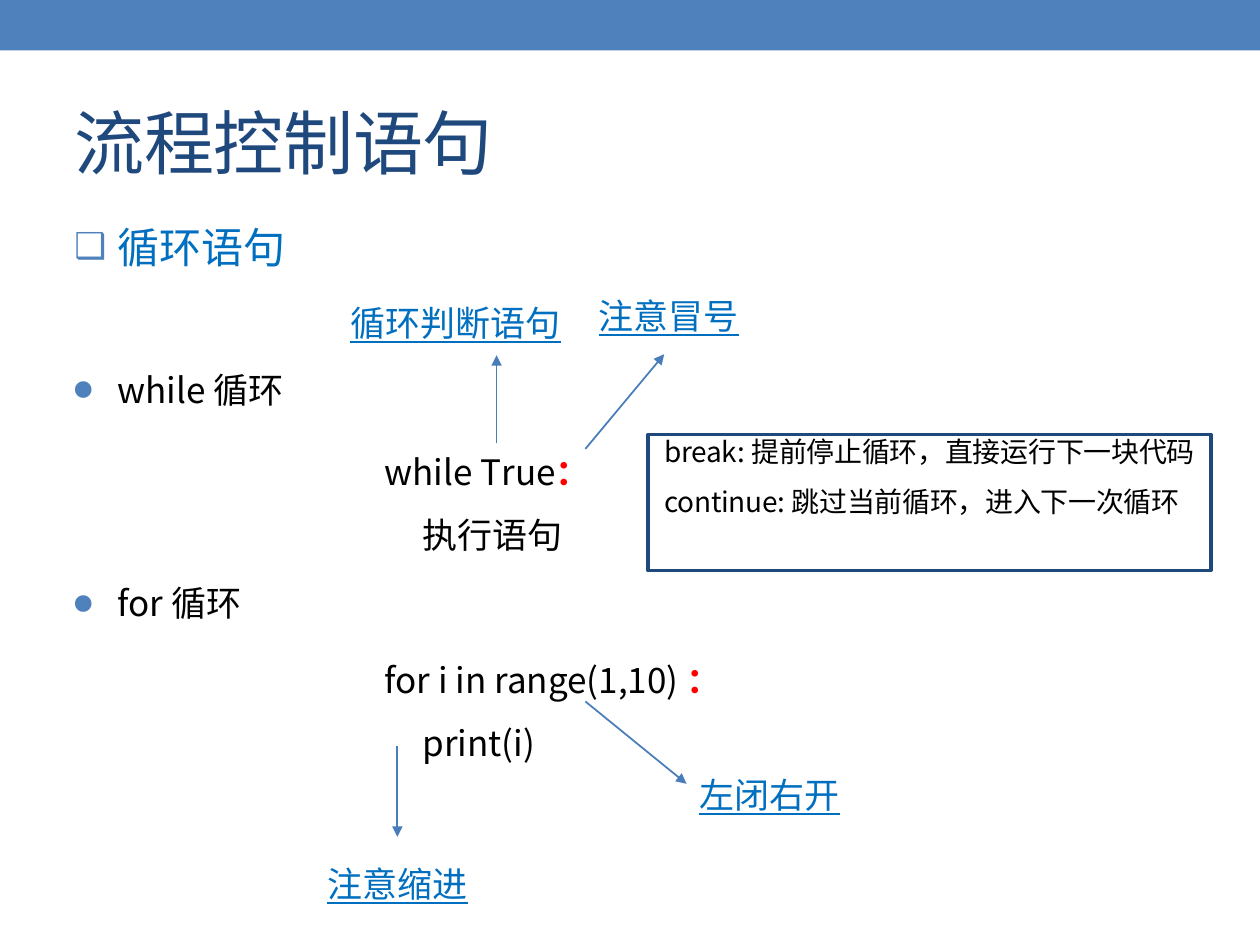
import pptx
import pptx.util
import pptx.dml.color
import pptx.enum.shapes
import pptx.enum.text
import pptx.oxml.ns
import lxml.etree

Cm = pptx.util.Cm
Pt = pptx.util.Pt
CENTER = pptx.enum.text.PP_ALIGN.CENTER
COLORS = {
    "banner": "4F81BC", "navy": "1F487C", "note": "006FC0",
    "text": "000000", "warning": "FF0000", "arrow": "497DBA",
}


def rgb(name):
    return pptx.dml.color.RGBColor.from_string(COLORS[name])


def add_xml(parent, tag, **attributes):
    return lxml.etree.SubElement(parent, pptx.oxml.ns.qn(tag), attributes)


class SlideBuilder:
    font = "Noto Sans CJK SC"
    bullet_font = "Karla"

    def __init__(self, slide):
        self.slide = slide

    def rectangle(self, left, top, width, height, fill=None, line=None):
        box = self.slide.shapes.add_shape(
            pptx.enum.shapes.MSO_SHAPE.RECTANGLE, Cm(left), Cm(top), Cm(width), Cm(height))
        box.shadow.inherit = False
        if fill:
            box.fill.solid()
            box.fill.fore_color.rgb = rgb(fill)
        else:
            box.fill.background()
        if line:
            box.line.color.rgb = rgb(line)
            box.line.width = Pt(2)
        else:
            box.line.fill.background()
        return box

    def text_box(self, left, top, width, height):
        return self.slide.shapes.add_textbox(Cm(left), Cm(top), Cm(width), Cm(height))

    def add_text(self, box, *paragraphs):
        """Fill the box; each paragraph is a dict of options for self.paragraph."""
        frame = box.text_frame
        frame.word_wrap = True
        frame.vertical_anchor = pptx.enum.text.MSO_ANCHOR.TOP
        frame.margin_left = frame.margin_right = frame.margin_top = frame.margin_bottom = 0
        for index, options in enumerate(paragraphs):
            target = frame.add_paragraph() if index else frame.paragraphs[0]
            self.paragraph(target, **options)

    def paragraph(self, target, runs, before=0, margin=0, indent=0, align=None, bullet=None):
        """Runs are (text, style) pairs; bullet is a (character, percent size) pair."""
        target.alignment = align or pptx.enum.text.PP_ALIGN.LEFT
        if before:
            target.space_before = Pt(before)
        properties = target._p.get_or_add_pPr()
        properties.set("marL", str(Cm(margin)))
        properties.set("indent", str(Cm(indent)))
        if bullet:
            character, percent = bullet
            color = add_xml(properties, "a:buClr")
            add_xml(color, "a:srgbClr", val=COLORS["banner"])
            add_xml(properties, "a:buSzPct", val=str(percent * 1000))
            add_xml(properties, "a:buFont", typeface=self.bullet_font)
            add_xml(properties, "a:buChar", char=character)
        for text, style in runs:
            self.run(target, text, **style)

    def run(self, target, text, size=20, color="text", bold=False, underline=False, spacing=0):
        run = target.add_run()
        run.text = text
        run.font.size = Pt(size)
        run.font.bold = bold
        run.font.underline = underline
        run.font.color.rgb = rgb(color)
        run.font.name = self.font
        properties = run._r.get_or_add_rPr()
        add_xml(properties, "a:ea", typeface=self.font)
        if spacing:
            properties.set("spc", str(round(spacing * 100)))

    def arrow(self, x1, y1, x2, y2):
        arrow = self.slide.shapes.add_connector(
            pptx.enum.shapes.MSO_CONNECTOR.STRAIGHT, Cm(x1), Cm(y1), Cm(x2), Cm(y2))
        arrow.line.color.rgb = rgb("arrow")
        arrow.line.width = Pt(1)
        add_xml(arrow.get_or_add_ln(), "a:tailEnd", type="triangle")
        add_xml(arrow._element.spPr, "a:effectLst")


def main():
    deck = pptx.Presentation()
    deck.slide_width, deck.slide_height = Cm(25.4), Cm(19.05)
    builder = SlideBuilder(deck.slides.add_slide(deck.slide_layouts[6]))
    note = {"color": "note", "underline": True}
    colon = ("：", {"color": "warning", "bold": True})
    dot = {"margin": 0.87, "indent": -0.87, "bullet": ("⚫", 85)}

    builder.rectangle(0, 0, 25.4, 1.02, fill="banner")

    heading = builder.text_box(1.5, 2.01, 9.86, 4.72)
    builder.add_text(
        heading,
        {"runs": [("流程控制语句", {"size": 40, "color": "navy", "spacing": -0.1})]},
        {"runs": [("循环语句", {"size": 24, "color": "note"})], "before": 21.7,
         "margin": 0.87, "indent": -0.87, "bullet": ("❑", 85)},
        {"runs": [("循环判断语句", note)], "before": 17.1, "margin": 5.56})

    while_topic = builder.text_box(1.5, 7.42, 4.65, 0.86)
    builder.add_text(while_topic, {"runs": [("while 循环", {})], **dot})

    for_section = builder.text_box(1.5, 11.73, 15.47, 6.38)
    builder.add_text(
        for_section,
        {"runs": [("for 循环", {})], **dot},
        {"runs": [("for i in range(1,10) ", {}), colon], "before": 19.5, "margin": 6.25},
        {"runs": [("print(i)", {})], "before": 12, "margin": 0.84, "align": CENTER},
        {"runs": [("左闭右开", note)], "before": 6, "margin": 5.1, "indent": 7.5},
        {"runs": [("注意缩进", note)], "before": 27, "margin": 5.1})

    keywords = builder.rectangle(13.06, 8.76, 11.35, 2.74, line="navy")
    tight = {"size": 16, "spacing": -0.1}
    builder.add_text(
        keywords,
        {"runs": [("break: 提前停止循环，直接运行下一块代码", tight)], "margin": 0.33},
        {"runs": [("continue: 跳过当前循环，进入下一次循环", tight)],
         "before": 9.6, "margin": 0.33})

    colon_note = builder.text_box(12.07, 5.94, 2.9, 0.79)
    builder.add_text(colon_note, {"runs": [("注意冒号", note)]})

    while_code = builder.text_box(7.72, 9.09, 4.22, 2.06)
    builder.add_text(
        while_code,
        {"runs": [("while ", {}), ("T", {"spacing": -1.9}), ("rue", {}), colon],
         "align": CENTER},
        {"runs": [("执行语句", {})], "before": 12, "margin": 0.2, "align": CENTER})

    for ends in ((11.8, 9.05, 13.39, 7.14), (10.01, 8.94, 10.01, 7.16),
                 (11.8, 14.14, 13.84, 15.8), (8.01, 15.04, 8.01, 16.87)):
        builder.arrow(*ends)

    deck.save("out.pptx")


if __name__ == "__main__":
    main()
